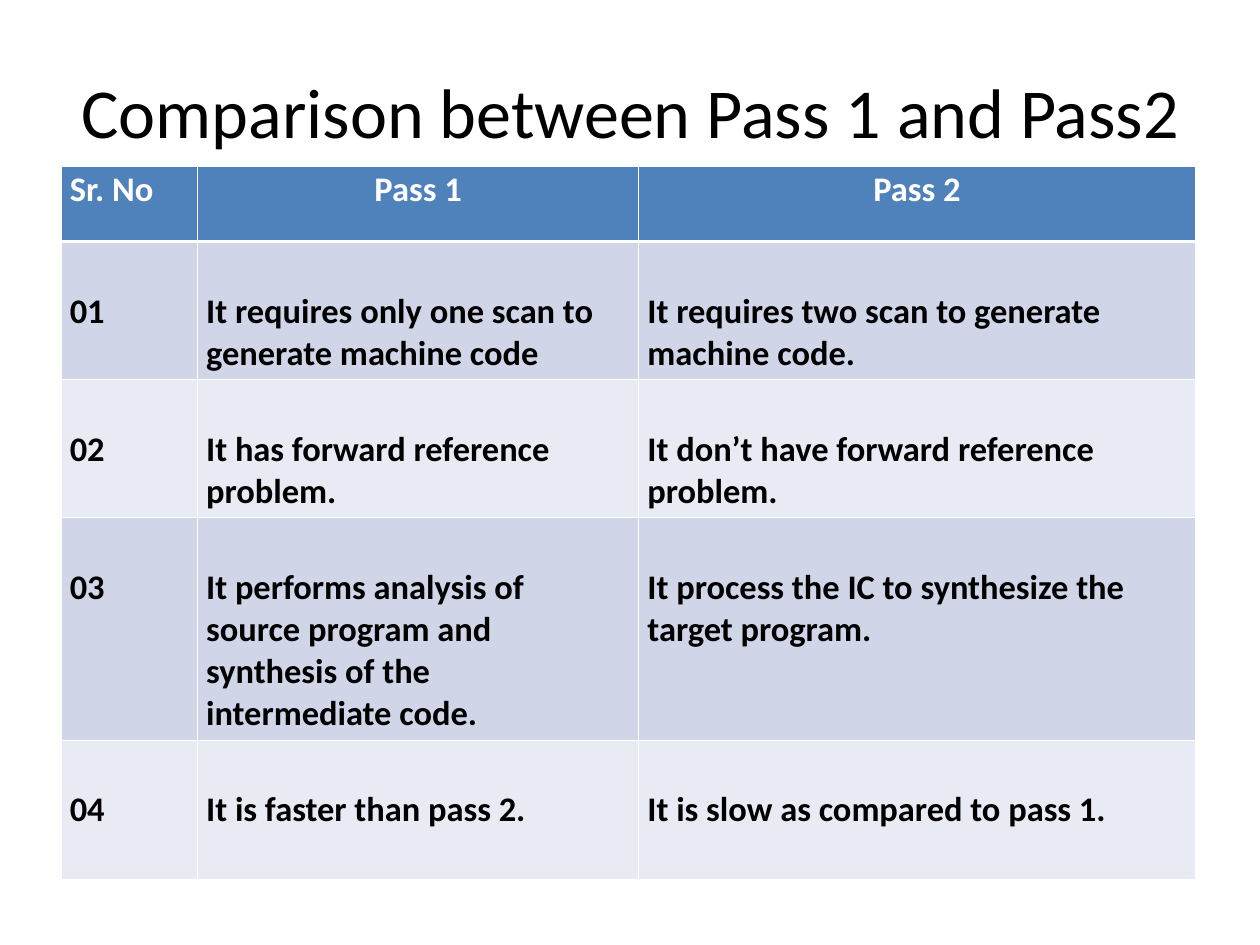
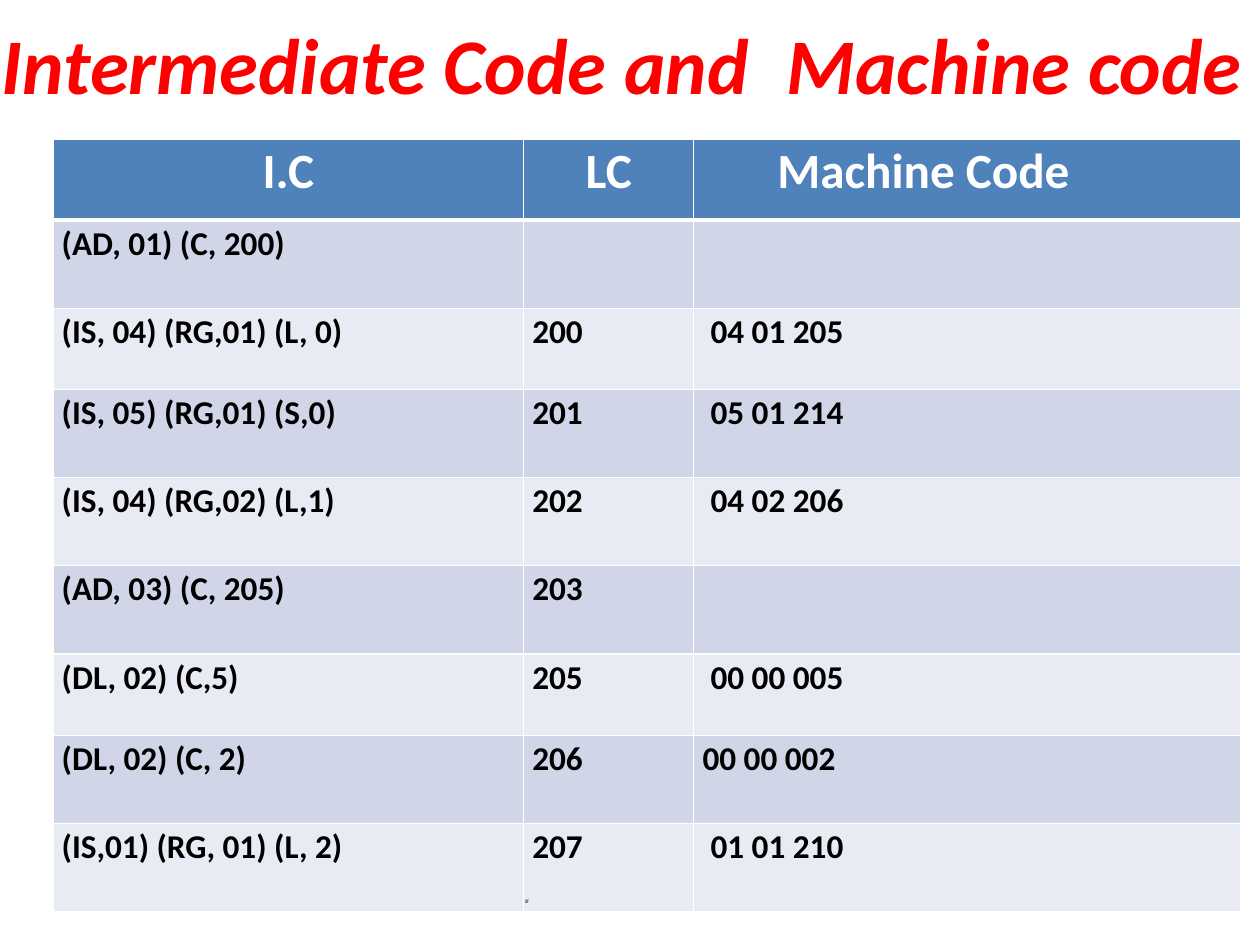
from dataclasses import dataclass

from lxml.etree import SubElement
from pptx import Presentation
from pptx.dml.color import RGBColor
from pptx.enum.text import PP_ALIGN
from pptx.oxml.ns import qn
from pptx.util import Cm, Pt

BLACK = RGBColor(0x00, 0x00, 0x00)
WHITE = RGBColor(0xFF, 0xFF, 0xFF)
RED = RGBColor(0xFF, 0x00, 0x00)
GREY = RGBColor(0x88, 0x88, 0x88)
HEADER_BLUE = RGBColor(0x4F, 0x81, 0xBB)
BANDS = (RGBColor(0xD0, 0xD6, 0xE8), RGBColor(0xE9, 0xEB, 0xF4))

FONT = "Calibri"
INDENT = 0.25
CODE_INDENT = 0.48
BODY_RIGHT = 1.1


@dataclass
class Title:
    text: str
    left: float
    top: float
    width: float
    height: float
    size: int
    color: RGBColor = BLACK
    emphasis: bool = False
    tab: float | None = None


@dataclass
class Grid:
    left: float
    top: float
    cols: list[float]
    heights: list[float]
    rows: list[list[str]]
    header_size: int
    body_size: int
    body_top: float


COMPARISON_TITLE = Title("Comparison between Pass 1 and Pass2", 2.34, 1.9, 32, 2.5, 57)
COMPARISON = Grid(
    1.75, 4.78, [3.91, 12.65, 15.95], [2.15, 3.96, 3.96, 6.38, 3.99],
    [
        ["Sr. No", "Pass 1", "Pass 2"],
        ["01", "It requires only one scan to generate machine code",
         "It requires two scan to generate machine code."],
        ["02", "It has forward reference problem.",
         "It don’t have forward reference problem."],
        ["03", "It performs analysis of source program and synthesis of the intermediate code.",
         "It process the IC to synthesize the target program."],
        ["04", "It is faster than pass 2.", "It is slow as compared to pass 1."],
    ],
    28, 28, 1.4,
)

CODE_TITLE = Title("Intermediate Code and\tMachine code", 0.05, 0.4, 36, 2.77, 64,
                   RED, True, 22.5)
CODE = Grid(
    1.52, 4.01, [13.49, 4.88, 15.67],
    [2.3, 2.53, 2.33, 2.53, 2.53, 2.53, 2.33, 2.53, 2.53],
    [
        ["I.C", "LC", "Machine Code"],
        ["(AD, 01) (C, 200)", "", ""],
        ["(IS, 04) (RG,01) (L, 0)", "200", "04 01 205"],
        ["(IS, 05) (RG,01) (S,0)", "201", "05 01 214"],
        ["(IS, 04) (RG,02) (L,1)", "202", "04 02 206"],
        ["(AD, 03) (C, 205)", "203", ""],
        ["(DL, 02) (C,5)", "205", "00 00 005"],
        ["(DL, 02) (C, 2)", "206", "00 00 002"],
        ["(IS,01) (RG, 01) (L, 2)", "207", "01 01 210"],
    ],
    40, 27, 0.1,
)


def style(p, size: float, color: RGBColor, bold: bool = False,
          italic: bool = False, name: str = FONT) -> None:
    for r in p.runs:
        f = r.font
        f.name, f.size, f.bold, f.italic = name, Pt(size), bold, italic
        f.color.rgb = color


def set_margins(box, left: float = 0, top: float = 0, right: float = 0) -> None:
    box.margin_left, box.margin_top = Cm(left), Cm(top)
    box.margin_right, box.margin_bottom = Cm(right), 0


def add_title(s, t: Title) -> None:
    sp = s.shapes.add_textbox(Cm(t.left), Cm(t.top), Cm(t.width), Cm(t.height))
    tf = sp.text_frame
    tf.word_wrap = True
    set_margins(tf, top=0.05)
    p = tf.paragraphs[0]
    p.text = t.text
    if t.tab is not None:
        tabs = SubElement(p._p.get_or_add_pPr(), qn("a:tabLst"))
        SubElement(tabs, qn("a:tab"), pos=str(Cm(t.tab)), algn="l")
    style(p, t.size, t.color, t.emphasis, t.emphasis)


def set_borders(cell, top: float, bottom: float) -> None:
    tcPr = cell._tc.get_or_add_tcPr()
    for side, width in (("L", 1), ("R", 1), ("T", top), ("B", bottom)):
        ln = SubElement(tcPr, qn(f"a:ln{side}"), w=str(Pt(width)))
        fill = SubElement(ln, qn("a:solidFill"))
        SubElement(fill, qn("a:srgbClr"), val=str(WHITE))


def add_grid(s, g: Grid):
    """Draw the banded table with a thick rule under its header."""
    frame = s.shapes.add_table(len(g.rows), len(g.cols), Cm(g.left), Cm(g.top),
                               Cm(sum(g.cols)), Cm(sum(g.heights)))
    table = frame.table
    for column, width in zip(table.columns, g.cols):
        column.width = Cm(width)
    for i, (row, height) in enumerate(zip(g.rows, g.heights)):
        table.rows[i].height = Cm(height)
        header = i == 0
        for j, text in enumerate(row):
            cell = table.cell(i, j)
            set_borders(cell, 3 if i == 1 else 1, 3 if header else 1)
            cell.fill.solid()
            cell.fill.fore_color.rgb = HEADER_BLUE if header else BANDS[(i - 1) % 2]
            p = cell.text_frame.paragraphs[0]
            p.text = text
            if header:
                set_margins(cell, top=0.05)
                p.alignment = PP_ALIGN.CENTER
                style(p, g.header_size, WHITE, True)
            else:
                set_margins(cell, INDENT, g.body_top, BODY_RIGHT)
                style(p, g.body_size, BLACK, True)
    return table


def add_comparison_slide(prs) -> None:
    s = prs.slides.add_slide(prs.slide_layouts[6])
    add_title(s, COMPARISON_TITLE)
    number_head = add_grid(s, COMPARISON).cell(0, 0)
    number_head.margin_left = Cm(INDENT)
    number_head.text_frame.paragraphs[0].alignment = PP_ALIGN.LEFT


def add_code_slide(prs) -> None:
    s = prs.slides.add_slide(prs.slide_layouts[6])
    table = add_grid(s, CODE)
    table.cell(0, 2).margin_right = Cm(2.5)
    for i in (2, 3, 4, 6, 8):
        table.cell(i, 2).margin_left = Cm(CODE_INDENT)

    last_lc = table.cell(8, 1)
    last_lc.margin_left = 0
    number = last_lc.text_frame.paragraphs[0]
    number._p.get_or_add_pPr().set("marL", str(Cm(INDENT)))
    dot = last_lc.text_frame.add_paragraph()
    dot.text = "."
    dot.space_before, dot.line_spacing = Pt(7.5), Pt(27.9)
    style(dot, 27, GREY, italic=True, name="Arial")
    add_title(s, CODE_TITLE)


def main() -> None:
    prs = Presentation()
    prs.slide_width, prs.slide_height = Cm(36.12), Cm(27.1)
    add_comparison_slide(prs)
    add_code_slide(prs)
    prs.save("out.pptx")


if __name__ == "__main__":
    main()
